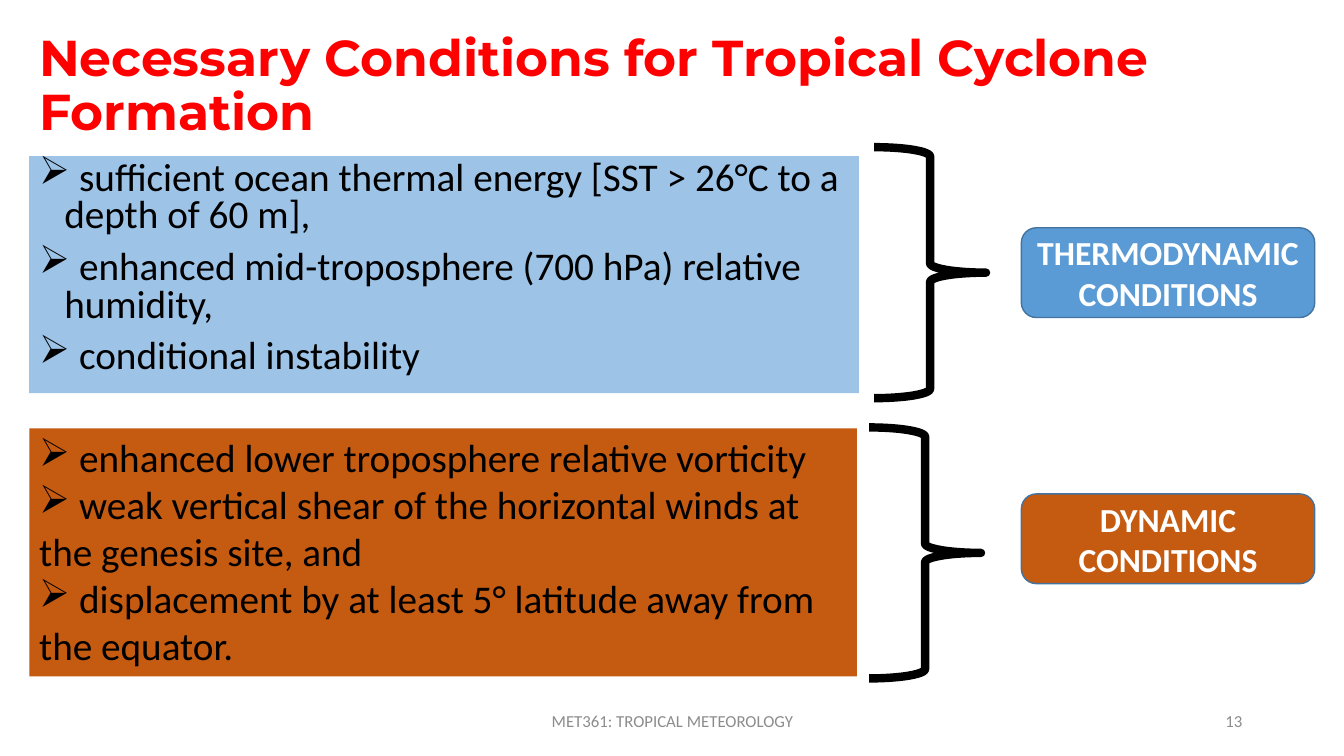
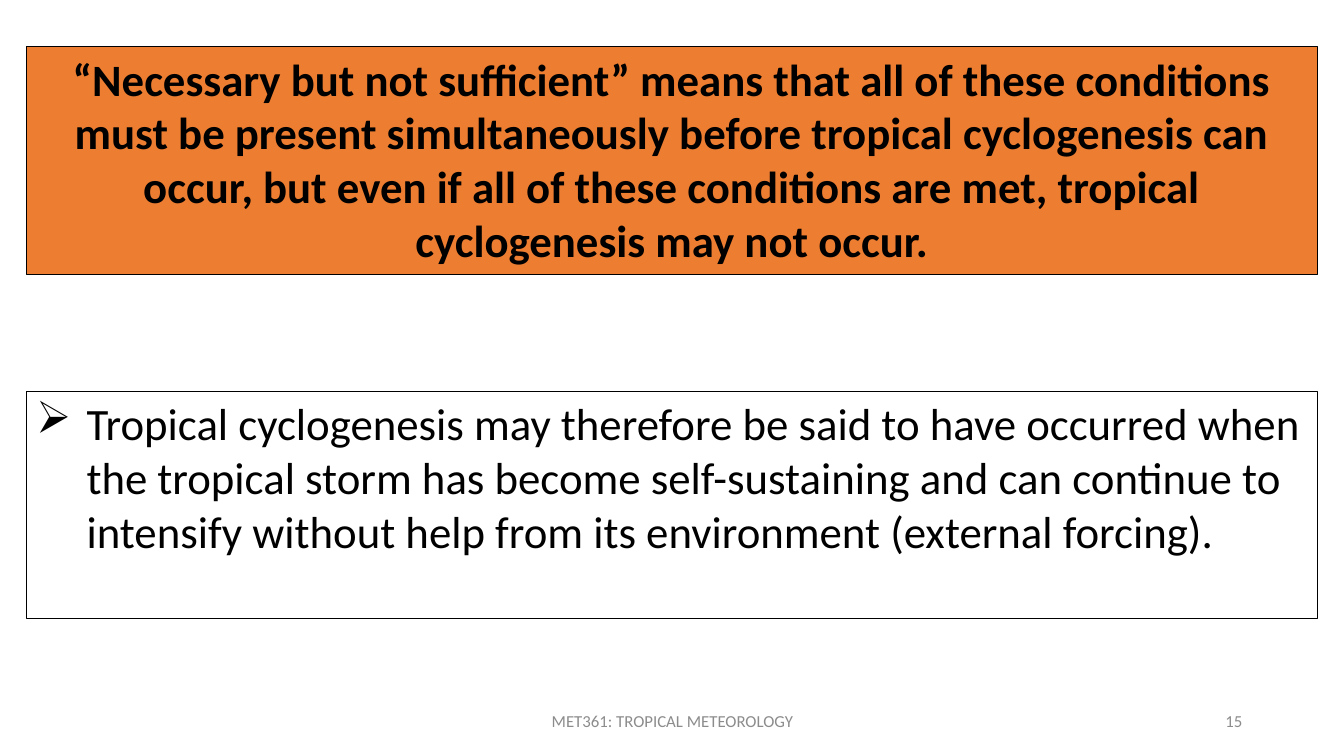
from lxml.etree import SubElement
from pptx import Presentation
from pptx.dml.color import RGBColor
from pptx.enum.shapes import MSO_SHAPE as Preset
from pptx.enum.text import MSO_ANCHOR as Anchor, PP_ALIGN as Align
from pptx.oxml.ns import qn
from pptx.util import Inches, Pt

COLORS = {
    "title": "FF0000",
    "text": "000000",
    "white": "FFFFFF",
    "footer": "8C8C8C",
    "sky": "9DC3E6",
    "blue": "5B9BD5",
    "rust": "C55A11",
    "orange": "ED7D31",
    "label_line": "43739E",
}

# Font settings: (attributes, colour)
TITLE = ({"name": "Montserrat", "size": Pt(36), "bold": True}, "title")
BODY = ({"name": "Calibri", "size": Pt(28)}, "text")
LABEL = ({"name": "Calibri", "size": Pt(24), "bold": True}, "white")
STATEMENT = ({"name": "Calibri", "size": Pt(32)}, "text")
STRONG_STATEMENT = ({"name": "Calibri", "size": Pt(32), "bold": True}, "text")
FOOTER = ({"name": "Calibri", "size": Pt(12)}, "footer")

TIGHT_LIST = {"line_spacing": 0.8, "space_before": Pt(10)}

CONDITION_GROUPS = [
    {
        "panel": (0.29, 1.55, 8.23, 2.35),
        "panel_fill": "sky",
        "items": [
            " sufficient ocean thermal energy [SST > 26°C to a depth of 60 m],",
            " enhanced mid-troposphere (700 hPa) relative humidity,",
            " conditional instability",
        ],
        "layout": TIGHT_LIST,
        "hanging": 0.25,
        "brace": (8.67, 1.46, 1.11, 2.49),
        "label": (10.13, 2.26, 2.91, 0.89),
        "label_fill": "blue",
        "label_lines": ["THERMODYNAMIC", "CONDITIONS"],
    },
    {
        "panel": (0.29, 4.25, 8.21, 2.46),
        "panel_fill": "rust",
        "items": [
            " enhanced lower troposphere relative vorticity",
            " weak vertical shear of the horizontal winds at the genesis site, and",
            " displacement by at least 5° latitude away from the equator.",
        ],
        "layout": {},
        "hanging": 0,
        "brace": (8.62, 4.24, 1.11, 2.49),
        "label": (10.13, 4.9, 2.91, 0.89),
        "label_fill": "rust",
        "label_lines": ["DYNAMIC", "CONDITIONS"],
    },
]

DEFINITION = (
    "“Necessary but not sufficient” means that all of these conditions must be "
    "present simultaneously before tropical cyclogenesis can occur, but even if "
    "all of these conditions are met, tropical cyclogenesis may not occur."
)
CONCLUSION = (
    "Tropical cyclogenesis may therefore be said to have occurred when the "
    "tropical storm has become self-sustaining and can continue to intensify "
    "without help from its environment (external forcing)."
)


def color(name):
    return RGBColor.from_string(COLORS[name])


def set_attributes(target, values):
    for name, value in values.items():
        setattr(target, name, value)


def add_bullet(paragraph, hanging):
    properties = paragraph._p.get_or_add_pPr()
    properties.set("marL", str(Inches(hanging)))
    properties.set("indent", str(-Inches(hanging)))
    SubElement(properties, qn("a:buChar")).set("char", "➢")


def write_text(shape, lines, font, align=Align.LEFT, anchor=Anchor.TOP,
               layout=None, hanging=None):
    """Write one paragraph per line; a hanging indent, even 0, adds bullets."""
    frame = shape.text_frame
    set_attributes(frame, {"word_wrap": True, "vertical_anchor": anchor})
    attributes, color_name = font
    for index, line in enumerate(lines):
        paragraph = frame.add_paragraph() if index else frame.paragraphs[0]
        set_attributes(paragraph, {"alignment": align, **(layout or {})})
        if hanging is not None:
            add_bullet(paragraph, hanging)
        run = paragraph.add_run()
        run.text = line
        set_attributes(run.font, attributes)
        run.font.color.rgb = color(color_name)


def add_text(slide, box, text, font, **text_format):
    shape = slide.shapes.add_textbox(*map(Inches, box))
    write_text(shape, [text], font, anchor=Anchor.MIDDLE, **text_format)


def add_shape(slide, preset, box, fill=None, line=None, line_width=0.75):
    shape = slide.shapes.add_shape(preset, *map(Inches, box))
    shape.shadow.inherit = False
    if fill:
        shape.fill.solid()
        shape.fill.fore_color.rgb = color(fill)
    else:
        shape.fill.background()
    if line:
        shape.line.color.rgb = color(line)
        shape.line.width = Pt(line_width)
    else:
        shape.line.fill.background()
    return shape


def add_slide(presentation, number):
    """Add a blank slide with the shared footer and its slide number."""
    slide = presentation.slides.add_slide(presentation.slide_layouts[6])
    add_text(slide, (4.42, 6.95, 4.5, 0.4), "MET361: TROPICAL METEOROLOGY",
             FOOTER, align=Align.CENTER)
    add_text(slide, (9.42, 6.95, 3, 0.4), str(number), FOOTER, align=Align.RIGHT)
    return slide


def add_condition_group(slide, group):
    """Add a list panel, its brace and the label the brace points to."""
    panel = add_shape(slide, Preset.RECTANGLE, group["panel"], group["panel_fill"])
    write_text(panel, group["items"], BODY, layout=group["layout"],
               hanging=group["hanging"])
    add_shape(slide, Preset.RIGHT_BRACE, group["brace"], line="text", line_width=6)
    label = add_shape(slide, Preset.ROUNDED_RECTANGLE, group["label"],
                      group["label_fill"], "label_line", 1)
    write_text(label, group["label_lines"], LABEL, Align.CENTER, Anchor.MIDDLE)


def add_statement(slide, top, text, font, fill=None, **text_format):
    box = add_shape(slide, Preset.RECTANGLE, (0.26, top, 12.81, 2.26), fill, "text")
    write_text(box, [text], font, **text_format)


def add_conditions_slide(presentation):
    slide = add_slide(presentation, 13)
    add_text(slide, (0.29, 0.14, 12.76, 1.45),
             "Necessary Conditions for Tropical Cyclone Formation",
             TITLE, layout={"line_spacing": 0.9})
    for group in CONDITION_GROUPS:
        add_condition_group(slide, group)


def add_meaning_slide(presentation):
    slide = add_slide(presentation, 15)
    add_statement(slide, 0.46, DEFINITION, STRONG_STATEMENT, "orange",
                  align=Align.CENTER)
    add_statement(slide, 3.88, CONCLUSION, STATEMENT, hanging=0.5)


def main():
    presentation = Presentation()
    set_attributes(presentation, {"slide_width": Inches(13.33),
                                  "slide_height": Inches(7.5)})
    add_conditions_slide(presentation)
    add_meaning_slide(presentation)
    presentation.save("out.pptx")


if __name__ == "__main__":
    main()
